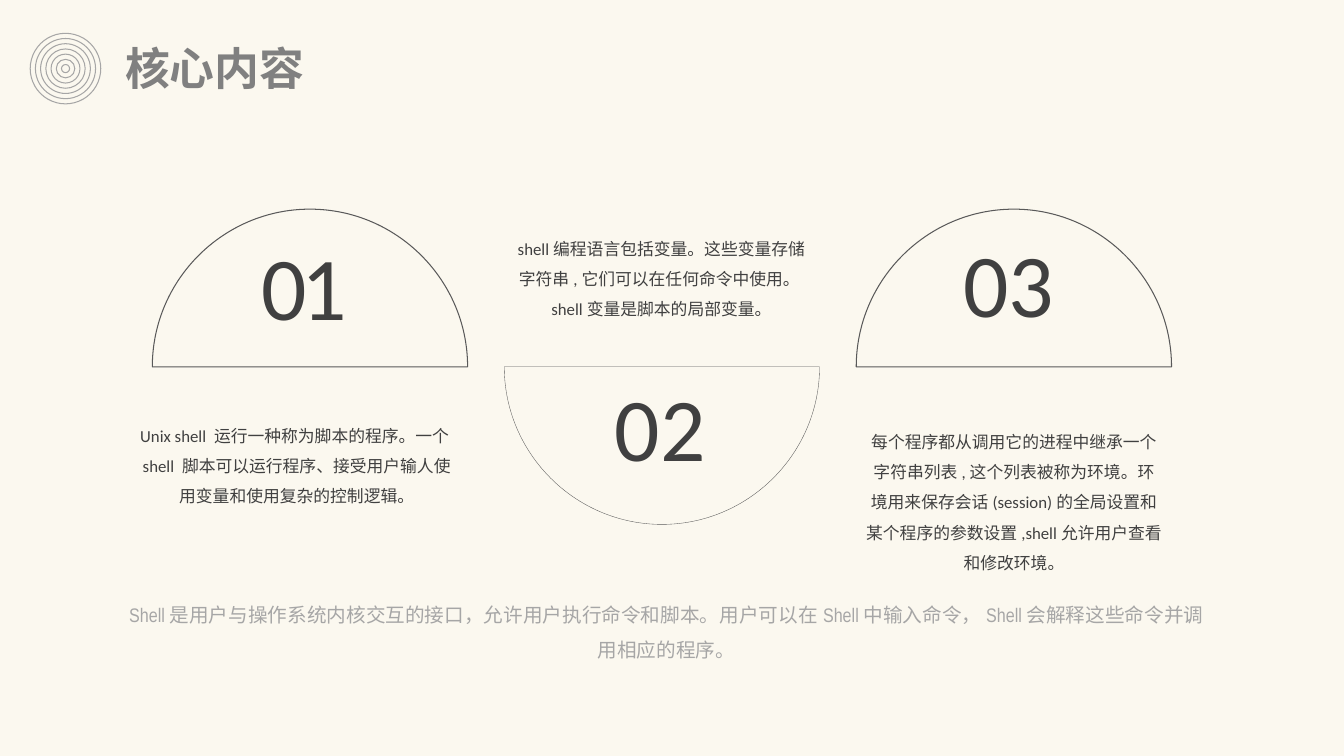
from lxml.etree import SubElement
from pptx import Presentation
from pptx.dml.color import RGBColor
from pptx.enum.shapes import MSO_SHAPE
from pptx.enum.text import PP_ALIGN
from pptx.oxml.ns import qn
from pptx.util import Pt

CREAM, DARK, OUTLINE, SILVER, GREY = "FBF8EF", "404040", "595959", "A6A6A6", "808080"
WIDTH, HEIGHT = 960, 540
RADIUS, BASELINE = 112.6, 262
FIRST_CENTER, CENTER_STEP = 221.4, 251.4
ARC_HANDLE = 0.55

TOPICS = [
    {"number": "01", "number_at": (180, 161.6), "up": True, "line": 0.75, "spacing": -4,
     "box": (90, 293.2, 244, 73),
     "text": "Unix shell 运行一种称为脚本的程序。一个shell 脚本可以运行程序、接受用户输人使用变量和使用复杂的控制逻辑。"},
    {"number": "02", "number_at": (432, 262), "up": False, "line": 0.25, "spacing": 0,
     "box": (360, 159.7, 225, 70.5),
     "text": "shell编程语言包括变量。这些变量存储字符串,它们可以在任何命令中使用。shell变量是脚本的局部变量。"},
    {"number": "03", "number_at": (681.2, 159.6), "up": True, "line": 0.75, "spacing": 0,
     "box": (611.3, 297.5, 226, 114),
     "text": "每个程序都从调用它的进程中继承一个字符串列表,这个列表被称为环境。环境用来保存会话(session)的全局设置和某个程序的参数设置,shell允许用户查看和修改环境。"},
]
SUMMARY = "Shell是用户与操作系统内核交互的接口，允许用户执行命令和脚本。用户可以在Shell中输入命令，Shell会解释这些命令并调用相应的程序。"


def color(value):
    """Turn a hex string into a colour."""
    return RGBColor.from_string(value)


def add_filled(slide, kind, box):
    """Add a cream preset shape without shadow or outline."""
    shape = slide.shapes.add_shape(kind, *map(Pt, box))
    shape.shadow.inherit = False
    shape.fill.solid()
    shape.fill.fore_color.rgb = color(CREAM)
    shape.line.fill.background()
    return shape


def add_text(slide, box, text, size, font, text_color, bold=False, spacing=0):
    """Add a one-run text box and return its frame and paragraph."""
    frame = slide.shapes.add_textbox(*map(Pt, box)).text_frame
    frame.word_wrap = True
    paragraph = frame.paragraphs[0]
    run = paragraph.add_run()
    run.text = text
    run.font.size = Pt(size)
    run.font.name = font
    run.font.bold = bold
    run.font.color.rgb = color(text_color)
    if spacing:
        run.font._element.set("spc", str(spacing * 100))
    return frame, paragraph


def add_body(slide, box, text, size, font, text_color, before=0, after=0):
    """Add a centred text with one and a half line spacing."""
    frame, paragraph = add_text(slide, box, text, size, font, text_color)
    paragraph.alignment = PP_ALIGN.CENTER
    paragraph.line_spacing = 1.5
    paragraph.space_before = Pt(before)
    paragraph.space_after = Pt(after)
    return frame


def add_rings(slide, center_x, center_y, outer, inner, count):
    """Add concentric circles from the largest to the smallest."""
    for index in range(count):
        diameter = outer - (outer - inner) * index / (count - 1)
        box = (center_x - diameter / 2, center_y - diameter / 2, diameter, diameter)
        ring = add_filled(slide, MSO_SHAPE.OVAL, box)
        ring.line.color.rgb = color(SILVER)
        ring.line.width = Pt(0)


def curve_segments(shape, curves):
    """Replace the straight segments of a freeform by cubic curves."""
    outline = next(shape._element.iter(qn("a:path")))
    for segment, curve in zip(list(outline.iter(qn("a:lnTo"))), curves):
        cubic = SubElement(outline, qn("a:cubicBezTo"))
        for x, y in curve:
            SubElement(cubic, qn("a:pt"), x=str(Pt(x)), y=str(Pt(y)))
        outline.replace(segment, cubic)


def add_half_disc(slide, center_x, up, line_width):
    """Add an outlined half disc standing on or hanging from the baseline."""
    crown = BASELINE - RADIUS if up else BASELINE + RADIUS
    left, right = center_x - RADIUS, center_x + RADIUS
    builder = slide.shapes.build_freeform(Pt(center_x), Pt(crown))
    corners = [(left, BASELINE), (right, BASELINE), (center_x, crown)]
    builder.add_line_segments([(Pt(x), Pt(y)) for x, y in corners], close=True)
    half_disc = builder.convert_to_shape()

    top, base = (0, RADIUS) if up else (RADIUS, 0)
    near, far = RADIUS * (1 - ARC_HANDLE), RADIUS * (1 + ARC_HANDLE)
    bend = base + (top - base) * ARC_HANDLE
    end = 2 * RADIUS
    curve_segments(half_disc, [
        [(near, top), (0, bend), (0, base)],
        [(end, base)] * 3,
        [(end, bend), (far, top), (RADIUS, top)],
    ])
    half_disc.shadow.inherit = False
    half_disc.fill.background()
    half_disc.line.color.rgb = color(OUTLINE)
    half_disc.line.width = Pt(line_width)


def add_topic(slide, index, topic):
    """Add a numbered half disc and its description."""
    add_half_disc(slide, FIRST_CENTER + index * CENTER_STEP, topic["up"], topic["line"])
    add_text(slide, (*topic["number_at"], 103, 85), topic["number"], 64, "Calibri", DARK,
             spacing=topic["spacing"])
    add_body(slide, topic["box"], topic["text"], 12, "Calibri", DARK, after=6)


def main():
    """Build and save the slide."""
    presentation = Presentation()
    presentation.slide_width, presentation.slide_height = Pt(WIDTH), Pt(HEIGHT)
    slide = presentation.slides.add_slide(presentation.slide_layouts[6])

    add_filled(slide, MSO_SHAPE.RECTANGLE, (0, 0, WIDTH, HEIGHT))
    add_rings(slide, 46.8, 49, 50.4, 5.8, 7)
    add_text(slide, (82.3, 25.6, 401, 46), "核心内容", 32, "Arial Narrow", GREY, bold=True)
    for index, topic in enumerate(TOPICS):
        add_topic(slide, index, topic)
    summary = add_body(slide, (78, 417, 796, 64), SUMMARY, 14, "Arial Narrow", SILVER, before=2.8)
    summary.margin_left = summary.margin_right = Pt(9.4)
    summary.margin_top = summary.margin_bottom = Pt(5)

    presentation.save("out.pptx")


if __name__ == "__main__":
    main()
